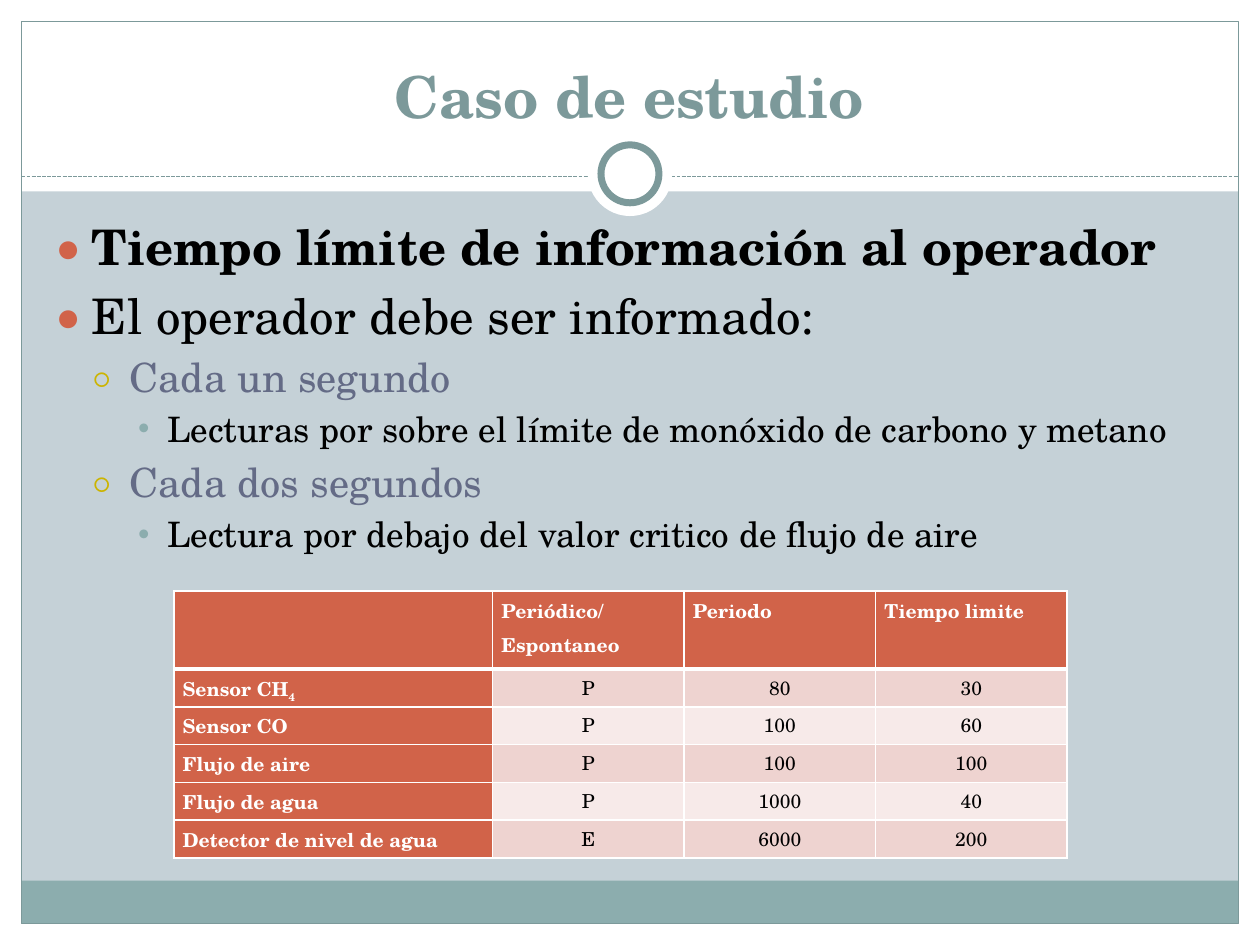
from lxml import etree
from pptx import Presentation
from pptx.dml.color import RGBColor
from pptx.enum.dml import MSO_LINE
from pptx.enum.shapes import MSO_CONNECTOR, MSO_SHAPE
from pptx.enum.text import MSO_ANCHOR, PP_ALIGN
from pptx.oxml.ns import qn
from pptx.util import Inches, Pt

RECT, OVAL = MSO_SHAPE.RECTANGLE, MSO_SHAPE.OVAL
STRAIGHT, DASH = MSO_CONNECTOR.STRAIGHT, MSO_LINE.SQUARE_DOT
BOTTOM, TOP = MSO_ANCHOR.BOTTOM, MSO_ANCHOR.TOP
LEFT, CENTER = PP_ALIGN.LEFT, PP_ALIGN.CENTER

FONT = "TeX Gyre Schola"
WHITE, BLACK, TEAL, RED = "FFFFFF", "000000", "7C999A", "D16349"
BAR, BACK = "8CADAE", "C5D1D7"
BANDS = ("EED3D0", "F7EAE9")

# Per level: size, colour, margin, hang, bullet, bullet colour, bullet percent
LEVELS = (
    (28, BLACK, 0.3, 0.3, "●", RED, 85),
    (23, "646B86", 0.6, 0.3, "○", "CCB400", 70),
    (20, BLACK, 0.9, 0.25, "•", BAR, 75),
)
POINTS = (
    (0, "Tiempo límite de información al operador", True),
    (0, "El operador debe ser informado:", False),
    (1, "Cada un segundo", False),
    (2, "Lecturas por sobre el límite de monóxido de carbono y metano", False),
    (1, "Cada dos segundos", False),
    (2, "Lectura por debajo del valor critico de flujo de aire", False),
)
ROWS = (
    ("", "Periódico/Espontaneo", "Periodo", "Tiempo limite"),
    ("Sensor CH4", "P", "80", "30"),
    ("Sensor CO", "P", "100", "60"),
    ("Flujo de aire", "P", "100", "100"),
    ("Flujo de agua", "P", "1000", "40"),
    ("Detector de nivel de agua", "E", "6000", "200"),
)


def rgb(code):
    return RGBColor.from_string(code)


def style(para, size, color, bold):
    font = para.font
    font.name, font.size, font.bold = FONT, Pt(size), bold
    font.color.rgb = rgb(color)


def add(parent, tag, **attrs):
    return etree.SubElement(parent, qn(tag), attrs)


def shape(slide, kind, box, fill=None, line=None, width=0.75):
    item = slide.shapes.add_shape(kind, *map(Inches, box))
    item.shadow.inherit = False
    if fill:
        item.fill.solid()
        item.fill.fore_color.rgb = rgb(fill)
    else:
        item.fill.background()
    if line:
        item.line.color.rgb = rgb(line)
        item.line.width = Pt(width)
    else:
        item.line.fill.background()


def add_frame(slide, box):
    x, y, w, h = box
    edge = 0.17
    right, base = x + w - edge, y + h - edge
    # White margins and header
    for part in ((x, base, w, edge), (x, y, w, 1.52),
                 (x, y, edge, h), (right, y, edge, h)):
        shape(slide, RECT, part, WHITE)
    # Footer bar and outline
    shape(slide, RECT, (x + edge, base - 0.34, w - 2 * edge, 0.34), BAR)
    shape(slide, RECT, (x + edge, y + edge, w - 2 * edge, h - 2 * edge), line=TEAL)
    # Dashed rule
    rule = slide.shapes.add_connector(
        STRAIGHT, Inches(x + edge), Inches(y + 1.4), Inches(right), Inches(y + 1.4))
    rule.line.color.rgb = rgb(TEAL)
    rule.line.width = Pt(0.75)
    rule.line.dash_style = DASH
    add(rule.element.spPr, "a:effectLst")
    # Ring on the rule
    mid, level = x + w / 2, y + 1.38
    for size, line in ((0.67, None), (0.46, TEAL)):
        shape(slide, OVAL, (mid - size / 2, level - size / 2, size, size), WHITE, line, 4)


def add_title(slide, box):
    title = slide.shapes.title
    title.left, title.top, title.width, title.height = map(Inches, box)
    frame = title.text_frame
    frame.text = "Caso de estudio"
    frame.vertical_anchor = BOTTOM
    para = frame.paragraphs[0]
    para.alignment = CENTER
    style(para, 33, TEAL, True)
    # Bring the title in front of the header
    slide.shapes.element.append(title.element)


def add_points(slide, box):
    frame = slide.shapes.add_textbox(*map(Inches, box)).text_frame
    frame.word_wrap = True
    for i, (level, text, bold) in enumerate(POINTS):
        size, color, margin, hang, mark, tint, scale = LEVELS[level]
        para = frame.add_paragraph() if i else frame.paragraphs[0]
        para.text, para.level = text, level
        para.space_before = Pt(size * 0.2)
        style(para, size, color, bold)
        # Bullet, placed ahead of the default run properties
        props = para._p.get_or_add_pPr()
        props.set("marL", str(Inches(margin)))
        props.set("indent", str(Inches(-hang)))
        default = props.find(qn("a:defRPr"))
        add(add(props, "a:buClr"), "a:srgbClr", val=tint)
        add(props, "a:buSzPct", val=str(scale * 1000))
        add(props, "a:buFont", typeface=FONT)
        add(props, "a:buChar", char=mark)
        props.append(default)


def set_cell(cell, text, fill, color, bold, align, rule):
    cell.margin_left = cell.margin_right = Inches(0.07)
    cell.margin_top = cell.margin_bottom = 0
    cell.vertical_anchor = TOP
    para = cell.text_frame.paragraphs[0]
    para.alignment, para.line_spacing = align, 1.15
    style(para, 11, color, bold)
    # The formula's digit is a subscript
    if text.endswith("CH4"):
        para.add_run().text = text[:-1]
        low = para.add_run()
        low.text = text[-1]
        low.font._element.set("baseline", "-25000")
    elif text:
        para.add_run().text = text
    # Borders come ahead of the fill
    props = cell._tc.get_or_add_tcPr()
    for side, width in zip("LRTB", (1, 1, rule[0], rule[1])):
        line = add(props, f"a:ln{side}", w=str(Pt(width)))
        add(add(line, "a:solidFill"), "a:srgbClr", val=WHITE)
    cell.fill.solid()
    cell.fill.fore_color.rgb = rgb(fill)


def add_grid(slide, box):
    grid = slide.shapes.add_table(len(ROWS), len(ROWS[0]), *map(Inches, box)).table
    for i, col in enumerate(grid.columns):
        col.width = Inches(1.52 if i else 2.53)
    for r, row in enumerate(ROWS):
        grid.rows[r].height = Inches(0.3 if r else 0.62)
        rule = (3 if r == 1 else 1, 1 if r else 3)
        for c, text in enumerate(row):
            if r and c:
                look = (BANDS[(r - 1) % 2], BLACK, False, CENTER)
            else:
                look = (RED, WHITE, True, LEFT)
            set_cell(grid.cell(r, c), text, *look, rule)


def main():
    deck = Presentation()
    deck.slide_width, deck.slide_height = Inches(10), Inches(7.5)
    slide = deck.slides.add_slide(deck.slide_layouts[5])
    slide.background.fill.solid()
    slide.background.fill.fore_color.rgb = rgb(BACK)
    add_frame(slide, (0, 0, 10, 7.5))
    add_title(slide, (0.33, 0.25, 9.33, 0.83))
    add_points(slide, (0.33, 1.67, 9.3, 5))
    add_grid(slide, (1.38, 4.69, 7.09, 2.13))
    deck.save("out.pptx")


if __name__ == "__main__":
    main()
